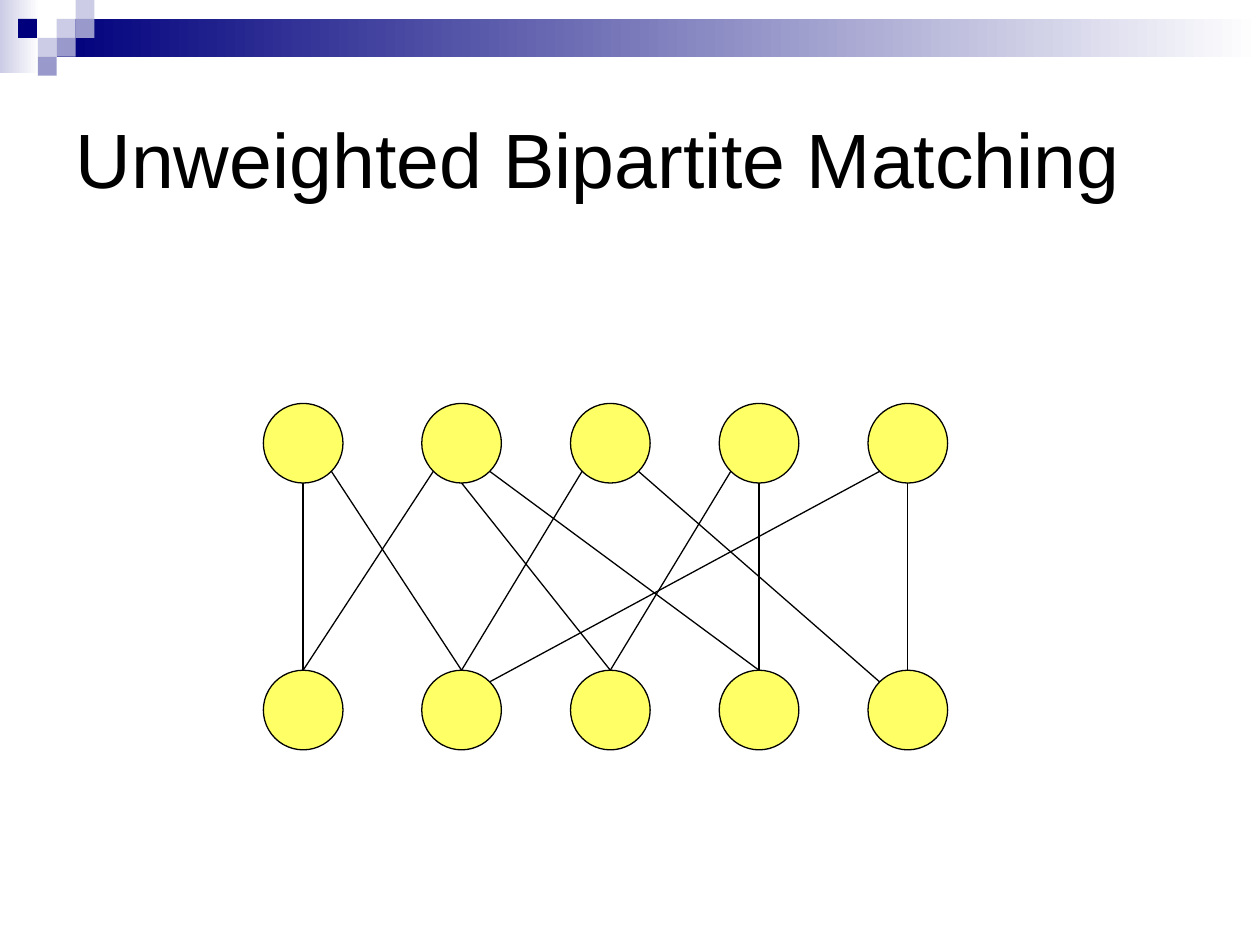
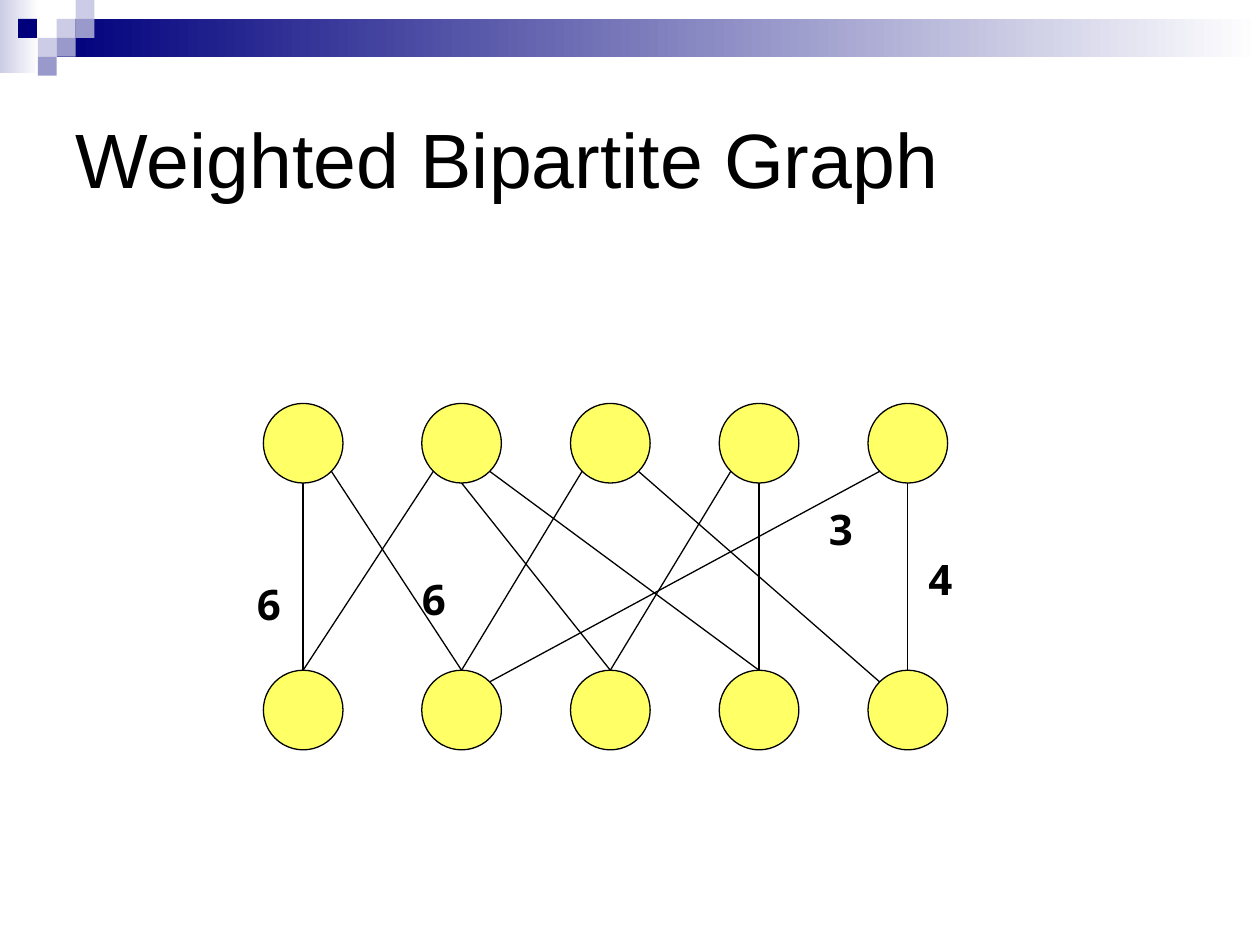
from lxml import etree
from pptx import Presentation
from pptx.dml.color import RGBColor
from pptx.enum.shapes import MSO_CONNECTOR, MSO_SHAPE
from pptx.enum.text import MSO_ANCHOR, MSO_AUTO_SIZE, PP_ALIGN
from pptx.oxml.ns import qn
from pptx.util import Pt

RECT, OVAL = MSO_SHAPE.RECTANGLE, MSO_SHAPE.OVAL
STRAIGHT = MSO_CONNECTOR.STRAIGHT
LEFT, MIDDLE = PP_ALIGN.LEFT, MSO_ANCHOR.MIDDLE
FIXED, GROW = MSO_AUTO_SIZE.NONE, MSO_AUTO_SIZE.SHAPE_TO_FIT_TEXT

COLOR = {"ink": "000000", "white": "FFFFFF", "node": "FFFF66",
         "navy": "00007D", "mid": "9999CC", "pale": "CCCCE6"}
TITLE = {"name": "Arial", "size": Pt(44), "bold": False}
LABEL = {"name": "Open Sans", "size": Pt(24), "bold": True}

# Header: fading bands, then squares
BANDS = [(0, 0, 22.5, 42, "pale"), (32.4, 10.8, 687.6, 21.6, "navy")]
SIDE = 10.8
TILES = [(32.4, 10.8, "pale"), (43.2, 0, "pale"), (43.2, 10.8, "mid"),
         (21.6, 21.6, "pale"), (10.3, 10.8, "navy"), (32.4, 21.6, "mid"),
         (21.6, 32.4, "mid")]

# Graph: two rows of nodes
SIZE = 45.5
RADIUS = SIZE / 2
DIAG = 0.71 * RADIUS
COLS = [150.5] + [241 + 85 * i for i in range(4)]
ROWS = (230.5, 383)
# Upper node, side, lower node, side (-1 left, 0 middle, 1 right)
EDGES = [(0, 1, 1, 0), (0, 0, 0, 0), (1, 1, 3, 0), (1, 0, 2, 0),
         (1, -1, 0, 0), (4, -1, 1, 1), (4, 0, 4, 0), (2, 1, 4, -1),
         (3, -1, 2, 0), (3, 0, 3, 0), (2, -1, 1, 0)]
WEIGHTS = [("4", 523.5, 312.5), ("6", 139.7, 327),
           ("6", 234, 324), ("3", 466.6, 284.4)]


def tint(name):
    return RGBColor.from_string(COLOR[name])


class Deck:
    def __init__(self):
        self.prs = Presentation()
        self.prs.slide_width, self.prs.slide_height = Pt(720), Pt(540)
        self.base = self.prs.slide_layouts[5]
        self.slide = None

    def start(self, title):
        self.slide = self.prs.slides.add_slide(self.base)
        box = self.slide.shapes.title
        box.left, box.top, box.width, box.height = map(Pt, (36, 36, 648, 108))
        box.text_frame.vertical_anchor = MIDDLE
        self.words(box, title, TITLE, FIXED)

    def words(self, box, text, style, fit):
        frame = box.text_frame
        frame.text = text
        frame.auto_size = fit
        para = frame.paragraphs[0]
        para.alignment = LEFT
        for key, value in style.items():
            setattr(para.font, key, value)
        para.font.color.rgb = tint("ink")

    def shape(self, kind, x, y, w, h, fill, edge=None, fade=False):
        item = self.slide.shapes.add_shape(kind, Pt(x), Pt(y), Pt(w), Pt(h))
        item.shadow.inherit = False
        if fade:
            item.fill.gradient()
            item.fill.gradient_angle = 0
            for stop, name in zip(item.fill.gradient_stops, (fill, "white")):
                stop.color.rgb = tint(name)
        else:
            item.fill.solid()
            item.fill.fore_color.rgb = tint(fill)
        if edge:
            item.line.color.rgb = tint(edge)
            item.line.width = Pt(0.75)
        else:
            item.line.fill.background()
        return item

    def line(self, x1, y1, x2, y2):
        item = self.slide.shapes.add_connector(
            STRAIGHT, Pt(x1), Pt(y1), Pt(x2), Pt(y2))
        item.line.color.rgb = tint("ink")
        item.line.width = Pt(0.75)
        etree.SubElement(item.element.spPr, qn("a:effectLst"))
        return item

    def label(self, text, x, y):
        box = self.slide.shapes.add_textbox(Pt(x), Pt(y), Pt(28), Pt(36))
        box.text_frame.word_wrap = False
        self.words(box, text, LABEL, GROW)

    def header(self):
        """Draw the header and move it to the layout all slides share."""
        parts = [self.shape(RECT, *band, fade=True) for band in BANDS]
        parts += [self.shape(RECT, x, y, SIDE, SIDE, fill)
                  for x, y, fill in TILES]
        tree = self.base.element.cSld.spTree
        for i, part in enumerate(parts):
            part.element.nvSpPr.cNvPr.id = 100 + i
            tree.insert(2 + i, part.element)

    def graph(self):
        nodes = [[self.shape(OVAL, x, y, SIZE, SIZE, "node", "ink")
                  for x in COLS] for y in ROWS]
        for top, out, low, into in EDGES:
            x1, x2 = COLS[top] + RADIUS, COLS[low] + RADIUS
            y1, y2 = (y + RADIUS for y in ROWS)
            edge = self.line(x1 + out * DIAG, y1 + (DIAG if out else RADIUS),
                             x2 + into * DIAG, y2 - (DIAG if into else RADIUS))
            if not into:
                edge.end_connect(nodes[1][low], 0)


def main():
    deck = Deck()

    # Unweighted graph
    deck.start("Unweighted Bipartite Matching")
    deck.header()
    deck.graph()

    # Weighted graph
    deck.start("Weighted Bipartite Graph")
    deck.graph()
    for weight in WEIGHTS:
        deck.label(*weight)

    deck.prs.save("out.pptx")


if __name__ == "__main__":
    main()
